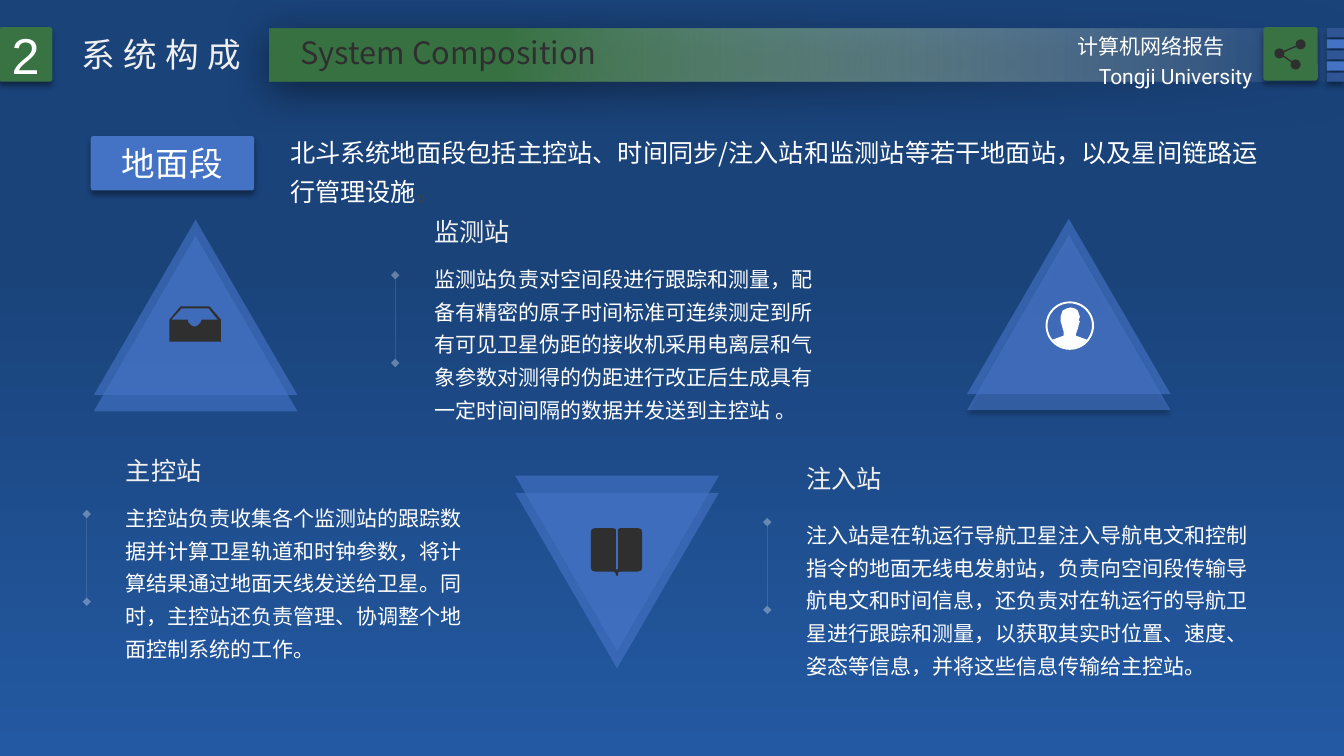
"""Build the slide on the ground segment of the satellite system."""
from pptx import Presentation
from pptx.dml.color import RGBColor as RGB
from pptx.enum.shapes import MSO_CONNECTOR as LINK, MSO_SHAPE as SHAPE
from pptx.enum.text import MSO_ANCHOR as ANCHOR, MSO_AUTO_SIZE as FIT, PP_ALIGN as ALIGN
from pptx.oxml.ns import qn
from pptx.oxml.xmlchemy import OxmlElement as Node
from pptx.util import Pt


class Theme:
    top, base = "1A437A", "2359A2"
    blue, navy, green, pale = "4472C4", "2F5597", "397343", "F2F6FC"
    white, soft, dark, slate = "FFFFFF", "F0F0F0", "2F2F2F", "3B424B"
    sans, cjk, latin = "Arial", "Noto Sans CJK SC", "Roboto"
    big, head, sub, lead, body = 36, 24, 22, 18, 15
    drop, deep = (40, 4, 3, 90), (50, 31, 6, 97)


PX = 9144


def paint(shape, color=None, alpha=None, shade=None):
    """Fill a shape without a line, and set its alpha and shadow."""
    if color:
        shape.fill.solid()
        shape.fill.fore_color.rgb = RGB.from_string(color)
    shape.line.fill.background()
    shape.shadow.inherit = False
    spot = shape.element.spPr
    if alpha is not None:
        tone = Node("a:alpha")
        tone.set("val", str(alpha * 1000))
        spot.find(".//" + qn("a:srgbClr")).append(tone)
    if shade:
        cast, ink, tone = Node("a:outerShdw"), Node("a:srgbClr"), Node("a:alpha")
        clear, blur, dist, turn = shade
        for key, val in (("blurRad", blur * 12700), ("dist", dist * 12700),
                         ("dir", turn * 60000), ("algn", "t"), ("rotWithShape", 0)):
            cast.set(key, str(val))
        ink.set("val", "000000")
        tone.set("val", str(clear * 1000))
        ink.append(tone)
        cast.append(ink)
        spot.find(qn("a:effectLst")).append(cast)


def write(shape, text, size, color=Theme.white, font=Theme.cjk, align=ALIGN.LEFT,
          gap=1.0, anchor=ANCHOR.TOP, wrap=True):
    """Set the text of a shape and format its run."""
    frame = shape.text_frame
    frame.text = text
    frame.word_wrap = wrap
    frame.auto_size = FIT.NONE
    frame.vertical_anchor = anchor
    para = frame.paragraphs[0]
    para.alignment = align
    para.line_spacing = gap
    run = para.runs[0]
    run.font.size = Pt(size)
    run.font.name = font
    run.font.color.rgb = RGB.from_string(color)
    east = Node("a:ea")
    east.set("typeface", font)
    run.font._element.find(qn("a:latin")).addnext(east)
    return para


deck = Presentation()
deck.slide_width, deck.slide_height = 1333 * PX, 750 * PX
slide = deck.slides.add_slide(deck.slide_layouts[5])
shapes = slide.shapes

sky = slide.background.fill
sky.gradient()
sky.gradient_angle = 270
for stop, spot, color in zip(sky.gradient_stops, (0.35, 1), (Theme.top, Theme.base)):
    stop.position = spot
    stop.color.rgb = RGB.from_string(color)

title = shapes.title
title.left, title.top, title.width, title.height = (n * PX for n in (71, 29, 187, 50))
para = write(title, "系统构成", Theme.head, Theme.soft, wrap=False)
para.runs[0].font._element.set("spc", "600")

band = shapes.add_shape(SHAPE.RECTANGLE, 267 * PX, 28 * PX, 1067 * PX, 53 * PX)
band.fill.gradient()
band.fill.gradient_angle = 180
for stop, spot, color in zip(band.fill.gradient_stops, (0, 0.78), (Theme.pale, Theme.green)):
    stop.position = spot
    stop.color.rgb = RGB.from_string(color)
paint(band, alpha=0, shade=Theme.deep)

tiles = [(90, 135, 162, 54, Theme.blue, "地面段", Theme.head),
         (-1, 27, 53, 54, Theme.green, "2", Theme.big),
         (1253, 27, 54, 53, Theme.green, "", 0)]
tiles += [(1316, 28 + 11 * i, 17, 9, (Theme.navy, Theme.blue)[i % 2], "", 0) for i in range(5)]
for x, y, w, h, color, text, size in tiles:
    tile = shapes.add_shape(SHAPE.ROUNDED_RECTANGLE, x * PX, y * PX, w * PX, h * PX)
    tile.adjustments[0] = 0.05
    paint(tile, color, shade=Theme.drop)
    if text:
        write(tile, text, size, font=Theme.sans, align=ALIGN.CENTER, anchor=ANCHOR.MIDDLE)

labels = [
    (335, 29, 220, 66, "System Composition", Theme.sub, Theme.dark, Theme.cjk, ALIGN.CENTER, False),
    (1015, 28, 209, 35, "计算机网络报告", Theme.body, Theme.white, Theme.cjk, ALIGN.RIGHT, True),
    (1015, 58, 237, 35, "Tongji University", Theme.body, Theme.white, Theme.latin, ALIGN.RIGHT, True)]
for x, y, w, h, text, size, color, font, align, wrap in labels:
    box = shapes.add_textbox(x * PX, y * PX, w * PX, h * PX)
    write(box, text, size, color, font, align, wrap=wrap)

intro = shapes.add_textbox(278 * PX, 122 * PX, 986 * PX, 85 * PX)
para = write(intro, "北斗系统地面段包括主控站、时间同步/注入站和监测站等若干地面站，以及星间链路运行管理设施",
             Theme.lead, gap=1.3)
end = para.add_run()
end.text = "。"
end.font.size = Pt(Theme.lead)
end.font.color.rgb = RGB.from_string(Theme.slate)

peaks = [(93, 234, 0, None), (93, 218, 0, None), (511, 472, 180, None), (511, 489, 180, None),
         (959, 233, 0, Theme.drop), (959, 217, 0, None)]
for x, y, turn, shade in peaks:
    peak = shapes.add_shape(SHAPE.ISOSCELES_TRIANGLE, x * PX, y * PX, 202 * PX, 174 * PX)
    peak.rotation = turn
    paint(peak, Theme.blue, 65, shade)

tray = [[(208, 304), (179, 304), (168, 317), (168, 339), (219, 339), (219, 317)],
        [(180, 306), (207, 306), (216, 317), (200, 317), (199, 320), (196, 323),
         (193, 324), (190, 323), (187, 320), (186, 317), (170, 317)]]
book = [[(633, 524), (636, 525), (637, 528), (637, 563), (636, 566), (633, 567),
         (615, 567), (613, 568), (613, 571), (611, 571), (611, 569), (609, 567),
         (590, 567), (587, 566), (586, 563), (586, 528), (587, 525), (590, 524),
         (608, 524), (611, 525), (611, 565), (613, 565), (613, 525), (615, 524)]]
bust = [[(1078, 337), (1067, 333), (1067, 332), (1068, 329), (1069, 326), (1070, 322),
         (1071, 319), (1070, 318), (1071, 314), (1069, 308), (1066, 306), (1062, 305),
         (1058, 306), (1054, 308), (1052, 314), (1052, 319), (1053, 322), (1054, 326),
         (1055, 329), (1055, 333), (1044, 337), (1050, 343), (1061, 346), (1072, 343)]]
for loops, color in ((tray, Theme.dark), (book, Theme.dark), (bust, Theme.white)):
    pen = shapes.build_freeform(*loops[0][0], scale=PX)
    pen.add_line_segments(loops[0][1:])
    for loop in loops[1:]:
        pen.move_to(*loop[0])
        pen.add_line_segments(loop[1:])
    paint(pen.convert_to_shape(), color)

ring = shapes.add_shape(SHAPE.DONUT, 1037 * PX, 299 * PX, 48 * PX, 48 * PX)
ring.adjustments[0] = 0.04
paint(ring, Theme.white)

hub = (1269, 53)
tips = [(1290, 44), (1285, 64)]
for x, y in [hub] + tips:
    dot = shapes.add_shape(SHAPE.OVAL, (x - 5) * PX, (y - 5) * PX, 10 * PX, 10 * PX)
    paint(dot, Theme.dark)

rules = [(*hub, *tip, Theme.dark, 1, False) for tip in tips]
sites = [
    (115, 438, 489, 368, "主控站",
     "主控站负责收集各个监测站的跟踪数据并计算卫星轨道和时钟参数，将计算结果通过地面天线发送给卫星。"
     "同时，主控站还负责管理、协调整个地面控制系统的工作。"),
    (421, 201, 252, 412, "监测站",
     "监测站负责对空间段进行跟踪和测量，配备有精密的原子时间标准可连续测定到所有可见卫星伪距的"
     "接收机采用电离层和气象参数对测得的伪距进行改正后生成具有一定时间间隔的数据并发送到主控站 。"),
    (790, 446, 506, 474, "注入站",
     "注入站是在轨运行导航卫星注入导航电文和控制指令的地面无线电发射站，负责向空间段传输导航电文和"
     "时间信息，还负责对在轨运行的导航卫星进行跟踪和测量，以获取其实时位置、速度、姿态等信息，"
     "并将这些信息传输给主控站。")]
for x, y, low, wide, name, text in sites:
    box = shapes.add_textbox(x * PX, low * PX, wide * PX, 176 * PX)
    write(box, text, Theme.body, gap=1.3)
    box = shapes.add_textbox(x * PX, y * PX, 99 * PX, 51 * PX)
    write(box, name, Theme.lead, Theme.soft, gap=1.3, wrap=False)
    rules.append((x - 29, y + 72, x - 29, y + 159, Theme.white, 0.25, True))

for x, y, right, low, color, width, gems in rules:
    rule = shapes.add_connector(LINK.STRAIGHT, x * PX, y * PX, right * PX, low * PX)
    rule.line.width = Pt(width)
    rule.line.color.rgb = RGB.from_string(color)
    form = rule.element.spPr
    form.append(Node("a:effectLst"))
    if gems:
        tone = Node("a:alpha")
        tone.set("val", "33000")
        form.find(".//" + qn("a:srgbClr")).append(tone)
        for tag in ("a:headEnd", "a:tailEnd"):
            gem = Node(tag)
            gem.set("type", "diamond")
            form.find(qn("a:ln")).append(gem)

deck.save("out.pptx")
